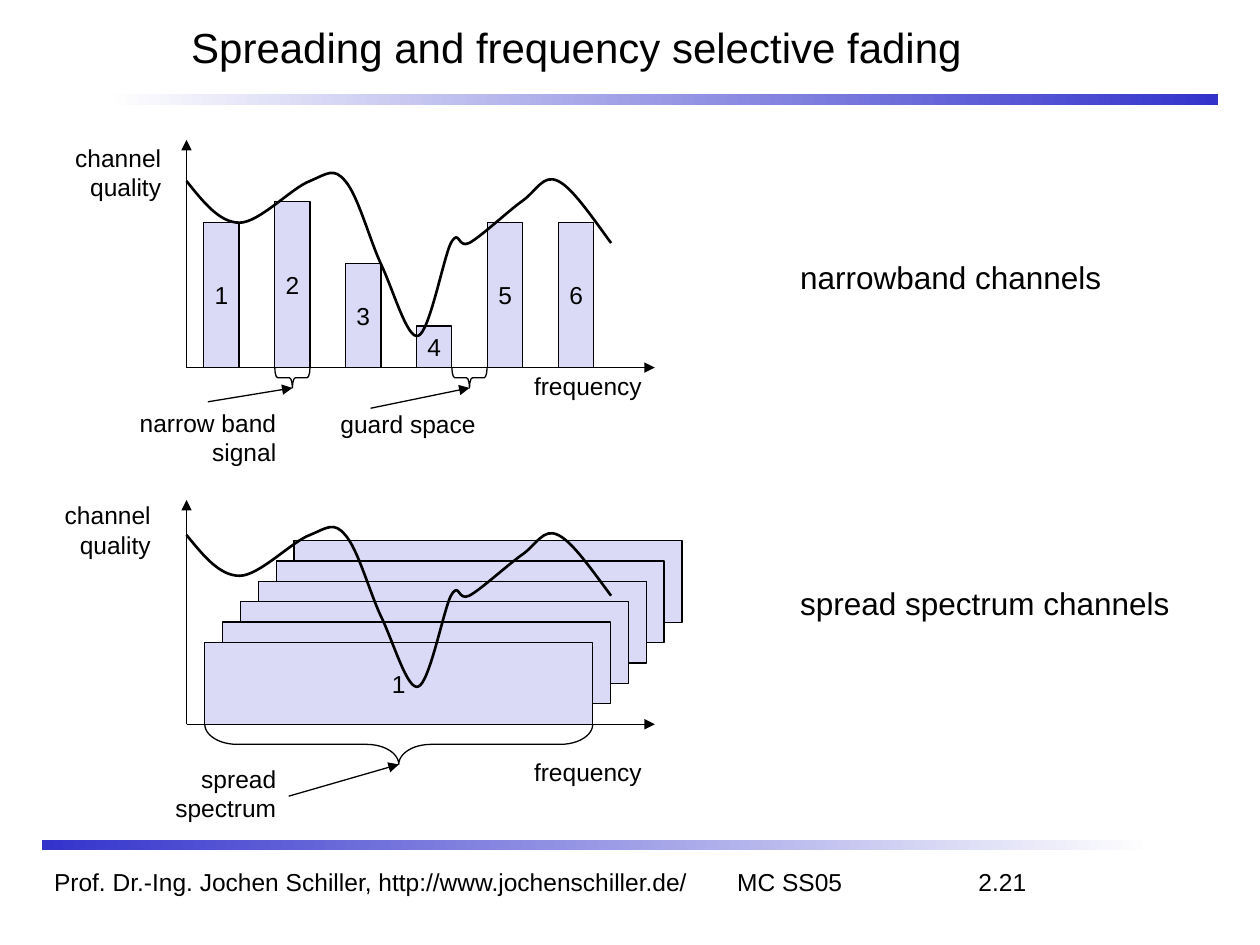
"""Build the slide on spreading and frequency selective fading."""
import pptx
import pptx.dml.color
import pptx.enum.shapes
import pptx.enum.text
import pptx.oxml
import pptx.oxml.ns
import pptx.util

Cm, Pt = pptx.util.Cm, pptx.util.Pt
SHAPE = pptx.enum.shapes.MSO_SHAPE
ALIGN = pptx.enum.text.PP_ALIGN
MIDDLE = pptx.enum.text.MSO_ANCHOR.MIDDLE
qn = pptx.oxml.ns.qn
BLACK = pptx.dml.color.RGBColor(0x00, 0x00, 0x00)
WHITE = pptx.dml.color.RGBColor(0xFF, 0xFF, 0xFF)
BLUE = pptx.dml.color.RGBColor(0x33, 0x33, 0xCC)
LAVENDER = pptx.dml.color.RGBColor(0xDA, 0xDA, 0xF6)
FONT = "Arial"

TITLE = "Spreading and frequency selective fading"
FOOTER = "Prof. Dr.-Ing. Jochen Schiller, http://www.jochenschiller.de/\tMC SS05\t2.21"
FOOTER_TABS = [(13.77, "l"), (19.6, "r")]
RULES = [(2.12, 1.9, WHITE, BLUE), (0.84, 16.93, BLUE, WHITE)]

AXIS_X, AXIS_END = 3.76, 13.2
NARROW_FLOOR, SPREAD_FLOOR = 7.41, 14.6
AXES = {NARROW_FLOOR: 2.82, SPREAD_FLOOR: 10.08}

BAR_HEIGHTS = [2.92, 3.35, 2.1, 0.84, 2.92, 2.92]
BAR_LEFT, BAR_WIDTH, BAR_PITCH = 4.11, 0.71, 1.43

LAYERS = 6
LAYER_LEFT, LAYER_WIDTH, LAYER_HEIGHT = 4.13, 7.82, 1.65
LAYER_STEP = (0.36, 0.41)

QUALITY_START = (0, 3.76)
QUALITY_CURVES = [
    [(0.33, 3.35), (0.66, 2.92), (1.07, 2.92)],
    [(1.47, 2.92), (2.13, 3.63), (2.49, 3.76)],
    [(2.84, 3.91), (2.97, 4.04), (3.2, 3.76)],
    [(3.45, 3.48), (3.68, 2.62), (3.91, 2.11)],
    [(4.17, 1.57), (4.45, 0.56), (4.67, 0.64)],
    [(4.9, 0.71), (5.18, 2.21), (5.33, 2.51)],
    [(5.51, 2.82), (5.46, 2.39), (5.7, 2.51)],
    [(5.94, 2.64), (6.48, 3.15), (6.76, 3.35)],
    [(7.06, 3.56), (7.19, 3.91), (7.49, 3.76)],
    [(7.77, 3.63), (8.15, 3.07), (8.56, 2.51)],
]

AXIS_LABELS = [
    ("frequency", 10.19, 7.36, 3, 0.86),
    ("channel\vquality", 1, 2.76, 2.5, 1.45),
    ("narrow band\vsignal", 2.22, 8.1, 3.6, 1.45),
    ("guard space", 6.24, 8.12, 3.6, 0.86),
    ("frequency", 10.19, 15.14, 3, 0.86),
    ("channel\vquality", 0.79, 9.96, 2.5, 1.45),
    ("spread\vspectrum", 3.02, 15.27, 2.8, 1.45),
]
CAPTIONS = [
    ("narrowband channels", 15.88, 5.08, 6.9, 1.02),
    ("spread spectrum channels", 15.88, 11.64, 8.3, 1.02),
]
BRACES = [
    (BAR_LEFT + BAR_PITCH, NARROW_FLOOR, BAR_WIDTH, 0.41, (4.19, 8.1)),
    (BAR_LEFT + 3 * BAR_PITCH + BAR_WIDTH, NARROW_FLOOR, BAR_WIDTH, 0.41, (7.47, 8.23)),
    (LAYER_LEFT, SPREAD_FLOOR, LAYER_WIDTH, 0.81, (5.82, 16.05)),
]


def style_text(frame, text, size, align=ALIGN.LEFT, wrap=False):
    frame.text = text
    frame.word_wrap = wrap
    paragraph = frame.paragraphs[0]
    paragraph.alignment = align
    for run in paragraph.runs:
        run.font.name, run.font.size = FONT, Pt(size)
        run.font.color.rgb = BLACK


def add_label(slide, text, left, top, width, height, size, align=ALIGN.LEFT):
    label = slide.shapes.add_textbox(Cm(left), Cm(top), Cm(width), Cm(height))
    style_text(label.text_frame, text, size, align, wrap=True)
    return label


def add_outlined(slide, kind, left, top, width, height):
    outlined = slide.shapes.add_shape(kind, Cm(left), Cm(top), Cm(width), Cm(height))
    outlined.shadow.inherit = False
    outlined.line.color.rgb = BLACK
    outlined.line.width = Pt(0.75)
    return outlined


def add_channel(slide, left, top, width, height, number=""):
    channel = add_outlined(slide, SHAPE.RECTANGLE, left, top, width, height)
    channel.fill.solid()
    channel.fill.fore_color.rgb = LAVENDER
    if number:
        style_text(channel.text_frame, number, 14, ALIGN.CENTER)
        channel.text_frame.vertical_anchor = MIDDLE


def add_arrow(slide, start, end):
    arrow = slide.shapes.add_connector(
        pptx.enum.shapes.MSO_CONNECTOR.STRAIGHT, *map(Cm, (*start, *end)))
    arrow.line.color.rgb = BLACK
    arrow.line.width = Pt(0.75)
    properties = arrow._element.spPr
    namespace = pptx.oxml.ns.nsdecls("a")
    properties.find(qn("a:ln")).append(
        pptx.oxml.parse_xml(f'<a:tailEnd {namespace} type="triangle"/>'))
    properties.append(pptx.oxml.parse_xml(f"<a:effectLst {namespace}/>"))


def add_axes(slide, floor):
    add_arrow(slide, (AXIS_X, floor), (AXIS_END, floor))
    add_arrow(slide, (AXIS_X, floor), (AXIS_X, AXES[floor]))


def add_quality_curve(slide, floor, scale=1):
    def place(point):
        return Cm(AXIS_X + point[0]), Cm(floor - scale * point[1])

    builder = slide.shapes.build_freeform(*place(QUALITY_START))
    builder.add_line_segments(
        [place(point) for curve in QUALITY_CURVES for point in curve], close=False)
    quality = builder.convert_to_shape()
    quality.shadow.inherit = False
    quality.fill.background()
    quality.line.color.rgb = BLACK
    quality.line.width = Pt(1.5)
    segments = list(quality._element.iter(qn("a:lnTo")))
    for first in range(0, len(segments), 3):
        bend, *others = segments[first:first + 3]
        bend.tag = qn("a:cubicBezTo")
        for other in others:
            bend.append(other[0])
            other.getparent().remove(other)


def add_brace(slide, left, top, span, depth, pointer_start):
    middle = left + span / 2
    brace = add_outlined(slide, SHAPE.LEFT_BRACE, middle - depth / 2,
                         top + (depth - span) / 2, depth, span)
    brace.rotation = 270
    brace.fill.background()
    brace.adjustments[0] = span / 12 / min(span, depth)
    add_arrow(slide, pointer_start, (middle, top + depth))


def add_frame(slide):
    for left, top, start, end in RULES:
        rule = slide.shapes.add_shape(SHAPE.RECTANGLE, Cm(left), Cm(top), Cm(22.43), Cm(0.21))
        rule.shadow.inherit = False
        rule.line.fill.background()
        rule.fill.gradient()
        rule.fill.gradient_angle = 0
        for stop, color in zip(rule.fill.gradient_stops, (start, end)):
            stop.color.rgb = color
    footer = add_label(slide, FOOTER, 0.84, 17.36, 22.23, 0.85, 14)
    tabs = "".join(f'<a:tab pos="{Cm(pos)}" algn="{side}"/>' for pos, side in FOOTER_TABS)
    footer.text_frame.paragraphs[0]._p.get_or_add_pPr().append(
        pptx.oxml.parse_xml(f'<a:tabLst {pptx.oxml.ns.nsdecls("a")}>{tabs}</a:tabLst>'))
    title = slide.shapes.title
    title.left, title.top, title.width, title.height = map(Cm, (3.6, 0, 21.4, 1.9))
    style_text(title.text_frame, TITLE, 24, wrap=True)
    title.text_frame.vertical_anchor = MIDDLE


def main():
    deck = pptx.Presentation()
    deck.slide_width, deck.slide_height = Cm(25.4), Cm(19.05)
    slide = deck.slides.add_slide(deck.slide_layouts[5])
    add_frame(slide)

    add_axes(slide, NARROW_FLOOR)
    for index, height in enumerate(BAR_HEIGHTS):
        add_channel(slide, BAR_LEFT + index * BAR_PITCH, NARROW_FLOOR - height,
                    BAR_WIDTH, height, str(index + 1))
    add_quality_curve(slide, NARROW_FLOOR)

    for depth in reversed(range(LAYERS)):
        if depth == 0:
            add_axes(slide, SPREAD_FLOOR)
        add_channel(slide, LAYER_LEFT + depth * LAYER_STEP[0],
                    SPREAD_FLOOR - LAYER_HEIGHT - depth * LAYER_STEP[1],
                    LAYER_WIDTH, LAYER_HEIGHT, "" if depth else "1")
    add_quality_curve(slide, SPREAD_FLOOR - 0.13, 0.98)

    for brace in BRACES:
        add_brace(slide, *brace)
    for label in AXIS_LABELS:
        add_label(slide, *label, 14, ALIGN.RIGHT)
    for caption in CAPTIONS:
        add_label(slide, *caption, 18)
    deck.save("out.pptx")


if __name__ == "__main__":
    main()
